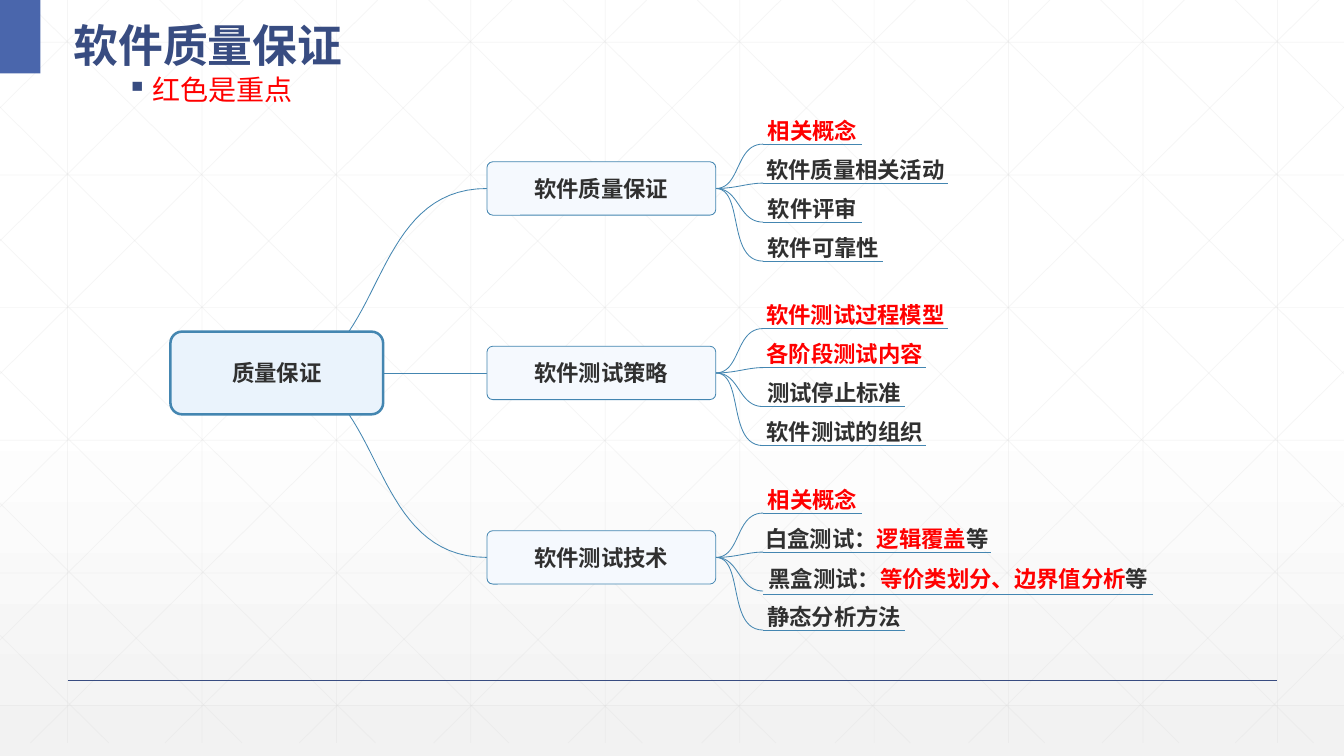
from copy import deepcopy

from lxml import etree
from pptx import Presentation
from pptx.dml.color import RGBColor
from pptx.enum.shapes import MSO_CONNECTOR as Connector, MSO_SHAPE as Shape
from pptx.enum.text import MSO_ANCHOR as Anchor, PP_ALIGN as Align
from pptx.oxml.ns import qn
from pptx.util import Inches, Pt

WIDTH, HEIGHT = 13.33, 7.5
NAVY, ACCENT, TEAL = "384C81", "4A66AC", "4486B1"
DARK, RED, GRID = "303030", "FF0000", "D9D9D9"
FONT = "Noto Sans CJK SC"


def color(code):
    return RGBColor.from_string(code)


class MindMap:
    def __init__(self, page):
        self.page = page

    def background(self):
        fill = self.page.background.fill
        fill.gradient()
        fill.gradient_angle = 270
        stop_list = self.page.element.find(".//" + qn("a:gsLst"))
        stop_list.insert(1, deepcopy(stop_list[0]))
        stops = [(0, "FFFFFF"), (0.53, "FFFFFF"), (1, "F2F2F2")]
        for stop, (position, code) in zip(fill.gradient_stops, stops):
            stop.position = position
            stop.color.rgb = color(code)

    def line(self, start, end, code=TEAL, weight=0.6, opacity=None):
        points = [Inches(value) for value in (*start, *end)]
        line = self.page.shapes.add_connector(Connector.STRAIGHT, *points)
        line.line.color.rgb = color(code)
        line.line.width = Pt(weight)
        properties = line.element.spPr
        if opacity:
            tint = properties.find(".//" + qn("a:srgbClr"))
            etree.SubElement(tint, qn("a:alpha"), val=str(opacity * 1000))
        etree.SubElement(properties, qn("a:effectLst"))

    def curve(self, *controls, steps=24):
        """Draw a cubic Bezier curve through four control points."""
        points = []
        for step in range(steps + 1):
            t = step / steps
            weights = ((1 - t) ** 3, 3 * t * (1 - t) ** 2, 3 * t * t * (1 - t), t ** 3)
            points.append(tuple(
                Inches(sum(w * point[axis] for w, point in zip(weights, controls)))
                for axis in (0, 1)))
        builder = self.page.shapes.build_freeform(*points[0])
        builder.add_line_segments(points[1:], close=False)
        curve = builder.convert_to_shape()
        curve.shadow.inherit = False
        curve.fill.background()
        curve.line.color.rgb = color(TEAL)
        curve.line.width = Pt(0.6)

    def shape(self, kind, area, fill, border=None, weight=0.6):
        shape = self.page.shapes.add_shape(kind, *map(Inches, area))
        shape.shadow.inherit = False
        shape.fill.solid()
        shape.fill.fore_color.rgb = color(fill)
        if border:
            shape.line.color.rgb = color(border)
            shape.line.width = Pt(weight)
        else:
            shape.line.fill.background()
        return shape

    def label(self, shape, spans, size=16, bold=True, align=Align.CENTER,
              anchor=Anchor.MIDDLE, font=FONT, inset=0):
        """Fill a shape with one paragraph of (text, color) spans."""
        frame = shape.text_frame
        frame.word_wrap = True
        frame.vertical_anchor = anchor
        frame.margin_left = frame.margin_right = Inches(inset)
        frame.margin_top = frame.margin_bottom = Inches(inset / 2)
        para = frame.paragraphs[0]
        para.alignment = align
        for text, code in spans:
            span = para.add_run()
            span.text = text
            span.font.name = font
            span.font.size = Pt(size)
            span.font.bold = bold
            span.font.color.rgb = color(code)
            etree.SubElement(span._r.get_or_add_rPr(), qn("a:ea"), typeface=FONT)
        return para

    def text(self, area, spans, **style):
        box = self.page.shapes.add_textbox(*map(Inches, area))
        return self.label(box, spans, **style)

    def bullet(self, para, mark, code):
        properties = para._p.get_or_add_pPr()
        properties.set("marL", str(Inches(0.25)))
        properties.set("indent", str(-Inches(0.25)))
        tint = etree.SubElement(properties, qn("a:buClr"))
        etree.SubElement(tint, qn("a:srgbClr"), val=code)
        etree.SubElement(properties, qn("a:buChar"), char=mark)

    def node(self, area, text, fill, weight, corner):
        node = self.shape(Shape.ROUNDED_RECTANGLE, area, fill, TEAL, weight)
        node.adjustments[0] = corner
        self.label(node, [(text, DARK)])

    def leaf(self, left, top, spans, width=None, height=0.27):
        length = sum(len(text) for text, _ in spans)
        width = width or 0.13 + 0.2125 * length
        self.text((left, top, width, height), spans)
        self.line((left, top + height), (left + width, top + height))


def draw_grid(chart):
    bottom, step, slope = 7.37, 4 / 3, 0.99

    def grid_line(start, end):
        chart.line(start, end, GRID, 0.5, 25)

    for column in range(10):
        x = 0.67 + step * column
        grid_line((x, 0), (x, bottom))
    for row in range(6):
        y = 0.42 + 1.316 * row
        grid_line((0, y), (WIDTH, y))
    diagonals = []
    for index in range(10):
        x = 0.25 + step * index
        run = min(bottom / slope, WIDTH - x)
        diagonals.append(((x, 0), (x + run, run * slope)))
    for index in range(5):
        x = 6.37 - 1.323 * index
        diagonals.append(((x, bottom), (0, bottom - x * slope)))
    for (x1, y1), (x2, y2) in diagonals:
        grid_line((x1, y1), (x2, y2))
        grid_line((WIDTH - x1, y1), (WIDTH - x2, y2))


BRANCHES = [
    ("软件质量保证", [
        [("相关概念", RED)], [("软件质量相关活动", DARK)],
        [("软件评审", DARK)], [("软件可靠性", DARK)]]),
    ("软件测试策略", [
        [("软件测试过程模型", RED)], [("各阶段测试内容", RED)],
        [("测试停止标准", DARK)], [("软件测试的组织", DARK)]]),
    ("软件测试技术", [
        [("相关概念", RED)],
        [("白盒测试：", DARK), ("逻辑覆盖", RED), ("等", DARK)],
        [("黑盒测试：", DARK), ("等价类划分、边界值分析", RED), ("等", DARK)],
        [("静态分析方法", DARK)]]),
]
LEAF_BENDS = [(7.35, 7.29), (7.3, 7.41), (7.34, 7.32), (7.38, 7.21)]


def draw_map(chart):
    middle, branch_left, branch_right, leaf_left = 3.7, 4.83, 7.1, 7.57
    for side in (-1, 1):
        chart.curve((3.46, middle + 0.41 * side), (3.83, middle + 0.95 * side),
                    (3.98, middle + 1.83 * side), (branch_left, middle + 1.83 * side))
    chart.line((3.8, middle), (branch_left, middle))
    chart.node((1.69, 3.29, 2.11, 0.82), "质量保证", "EAF3FC", 1.8, 0.14)
    for row, (title, leaves) in enumerate(BRANCHES):
        center = middle + 1.83 * (row - 1)
        for index, (spans, (bend1, bend2)) in enumerate(zip(leaves, LEAF_BENDS)):
            underline = center - 0.44 + 0.387 * index
            chart.curve((branch_right, center), (bend1, center),
                        (bend2, underline), (leaf_left, underline))
            longest = {"width": 3.87, "height": 0.3} if spans[0][0] == "黑盒测试：" else {}
            chart.leaf(leaf_left, underline - 0.27, spans, **longest)
        chart.node((branch_left, center - 0.265, branch_right - branch_left, 0.53),
                   title, "F5F9FE", 0.6, 0.11)


def main():
    deck = Presentation()
    deck.slide_width, deck.slide_height = Inches(WIDTH), Inches(HEIGHT)
    chart = MindMap(deck.slides.add_slide(deck.slide_layouts[6]))
    chart.background()
    draw_grid(chart)
    chart.line((0.67, 6.75), (12.67, 6.75), NAVY, 1)
    chart.shape(Shape.RECTANGLE, (0, 0, 0.4, 0.73), ACCENT)
    title = chart.text((0.63, 0, 5.69, 0.73), [("软件质量保证", NAVY)], size=32,
                       align=Align.LEFT, font="Arial", inset=0.1)
    title.line_spacing = 1.3
    hint = chart.text((1.16, 0.71, 3.86, 2.35), [("红色是重点", RED)], size=20,
                      bold=False, align=Align.LEFT, anchor=Anchor.TOP, inset=0.1)
    chart.bullet(hint, "▪", NAVY)
    hint.line_spacing = 0.9
    draw_map(chart)
    deck.save("out.pptx")


if __name__ == "__main__":
    main()
